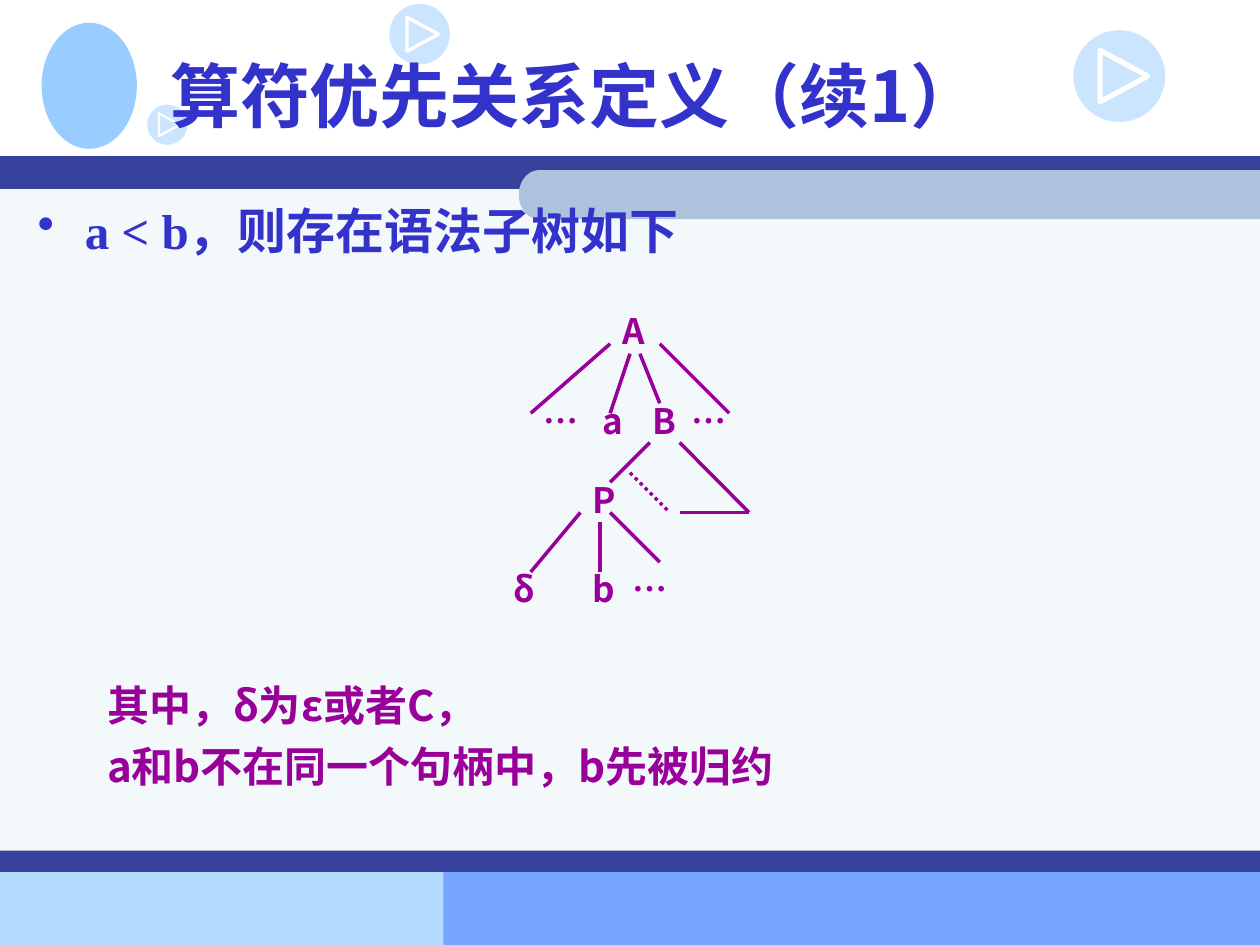
"""Build a slide that shows the syntax subtree behind a < b."""
import math
from typing import NamedTuple

from lxml import etree
from pptx import Presentation
from pptx import util as u
from pptx.dml import color
from pptx.enum import dml, shapes, text
from pptx.oxml import ns

SANS, SERIF = "Noto Sans CJK SC", "Times New Roman"
BLUE, PLUM, NAVY, SKY = "3333CC", "990099", "36429B", "99CCFF"
WIDE, HIGH = 25.4, 19.05


class Box(NamedTuple):
    left: float
    top: float
    width: float
    height: float


class Bar(NamedTuple):
    box: Box
    fill: str


class Icon(NamedTuple):
    left: float
    top: float
    size: float


class Label(NamedTuple):
    word: str
    left: float
    top: float


class Edge(NamedTuple):
    x1: float
    y1: float
    x2: float
    y2: float
    dotted: bool = False


class Style(NamedTuple):
    size: float
    tint: str
    face: str = SANS


BARS = [
    Bar(Box(0, 17.58, 10.8, 1.47), "B5DAFF"),
    Bar(Box(8.94, 17.55, 16.46, 1.5), "77A4FF"),
    Bar(Box(0, 3.56, WIDE, 14), "F3F8FB"),
    Bar(Box(0, 3.15, WIDE, 0.66), NAVY),
    Bar(Box(0, 17.15, WIDE, 0.43), NAVY),
]
ICONS = [Icon(7.85, 0.08, 1.22), Icon(21.64, 0.61, 1.85), Icon(2.97, 2.11, 0.81)]
LABELS = [
    Label("A", 12.3, 6.12),
    Label("…", 10.7, 7.92), Label("a", 11.9, 7.92),
    Label("B", 12.9, 7.92), Label("…", 13.7, 7.92),
    Label("P", 11.7, 9.52),
    Label("δ", 10.1, 11.32), Label("b", 11.7, 11.32), Label("…", 12.5, 11.32),
]
EDGES = [
    Edge(12.3, 6.93, 10.7, 8.33), Edge(12.7, 7.13, 12.3, 8.33),
    Edge(12.9, 7.13, 13.3, 8.13), Edge(13.3, 6.93, 14.7, 8.33),
    Edge(13.1, 8.92, 12.3, 9.72), Edge(13.7, 8.92, 15.1, 10.33),
    Edge(12.7, 9.53, 13.5, 10.33, True), Edge(13.7, 10.33, 15.1, 10.33),
    Edge(12.3, 10.33, 13.3, 11.33), Edge(12.1, 10.52, 12.1, 11.53),
    Edge(11.7, 10.33, 10.7, 11.53),
]


def hue(code: str) -> color.RGBColor:
    return color.RGBColor.from_string(code)


def paint(shape, fill: str) -> None:
    shape.shadow.inherit = False
    shape.fill.solid()
    shape.fill.fore_color.rgb = hue(fill)
    shape.line.fill.background()


def add_shape(slide, kind, box: Box):
    return slide.shapes.add_shape(kind, *map(u.Cm, box))


def add_bar(slide, bar: Bar) -> None:
    paint(add_shape(slide, shapes.MSO_SHAPE.RECTANGLE, bar.box), bar.fill)


def add_band(slide) -> None:
    left, right, top, low, bend = 10.46, WIDE, 3.43, 4.42, 0.41
    half = (low - top) / 2
    turns = [math.pi * (0.5 + step / 24) for step in range(25)]
    curve = [(left + bend + bend * math.cos(turn), top + half - half * math.sin(turn))
             for turn in turns]
    path = slide.shapes.build_freeform(u.Cm(right), u.Cm(top))
    path.add_line_segments([(u.Cm(x), u.Cm(y)) for x, y in curve + [(right, low)]])
    paint(path.convert_to_shape(), "ADC3DD")


def add_icon(slide, icon: Icon) -> None:
    size = icon.size
    disc = add_shape(slide, shapes.MSO_SHAPE.OVAL, Box(icon.left, icon.top, size, size))
    paint(disc, SKY)
    tint = disc.fill._xPr.find(".//" + ns.qn("a:srgbClr"))
    etree.SubElement(tint, ns.qn("a:alpha"), val="50000")
    wide, high = 0.56 * size, 0.52 * size
    box = Box(icon.left + 0.55 * size - wide / 2, icon.top + (size - high) / 2, wide, high)
    arrow = add_shape(slide, shapes.MSO_SHAPE.ISOSCELES_TRIANGLE, box)
    arrow.rotation = 90
    arrow.shadow.inherit = False
    arrow.fill.background()
    arrow.line.color.rgb = hue("FFFFFF")
    arrow.line.width = u.Pt(1.6 * size)


def add_edge(slide, edge: Edge) -> None:
    ends = map(u.Cm, edge[:4])
    line = slide.shapes.add_connector(shapes.MSO_CONNECTOR.STRAIGHT, *ends)
    line.line.color.rgb = hue(PLUM)
    line.line.width = u.Pt(2)
    if edge.dotted:
        line.line.dash_style = dml.MSO_LINE.ROUND_DOT
    etree.SubElement(line._element.spPr, ns.qn("a:effectLst"))


def add_text(slide, box: Box, lines: list[str], style: Style):
    frame = slide.shapes.add_textbox(*map(u.Cm, box)).text_frame
    frame.word_wrap = True
    frame.text = "\n".join(lines)
    for part in frame.paragraphs:
        for run in part.runs:
            font = run.font
            font.size, font.bold, font.name = u.Pt(style.size), True, style.face
            font.color.rgb = hue(style.tint)
            etree.SubElement(font._element, ns.qn("a:ea"), typeface=SANS)
    return frame


def add_bullet(part) -> None:
    props = part._p.get_or_add_pPr()
    props.set("marL", str(u.Cm(0.95)))
    props.set("indent", str(-u.Cm(0.95)))
    tint = etree.SubElement(props, ns.qn("a:buClr"))
    etree.SubElement(tint, ns.qn("a:srgbClr"), val=BLUE)
    etree.SubElement(props, ns.qn("a:buChar"), char="•")


def main() -> None:
    deck = Presentation()
    deck.slide_width, deck.slide_height = u.Cm(WIDE), u.Cm(HIGH)
    slide = deck.slides.add_slide(deck.slide_layouts[6])
    for bar in BARS:
        add_bar(slide, bar)
    add_band(slide)
    paint(add_shape(slide, shapes.MSO_SHAPE.OVAL, Box(0.84, 0.46, 1.92, 2.54)), SKY)
    for icon in ICONS:
        add_icon(slide, icon)

    title = add_text(slide, Box(3.18, 0.43, 21.59, 2.97), ["算符优先关系定义（续1）"],
                     Style(40, BLUE))
    title.vertical_anchor = text.MSO_ANCHOR.MIDDLE
    body = add_text(slide, Box(0.51, 3.91, 24.41, 12.6), ["a < b，则存在语法子树如下"],
                    Style(28, BLUE, SERIF))
    add_bullet(body.paragraphs[0])

    for label in LABELS:
        add_text(slide, Box(label.left, label.top, 1, 1.12), [label.word], Style(20, PLUM))
    for edge in EDGES:
        add_edge(slide, edge)

    notes = add_text(slide, Box(1.91, 13.56, 22.02, 2.41),
                     ["其中，δ为ε或者C，", "a和b不在同一个句柄中，b先被归约"], Style(24, PLUM))
    for part in notes.paragraphs:
        part.line_spacing = u.Pt(29)
    notes.paragraphs[1].space_before = u.Pt(6)
    deck.save("out.pptx")


if __name__ == "__main__":
    main()
